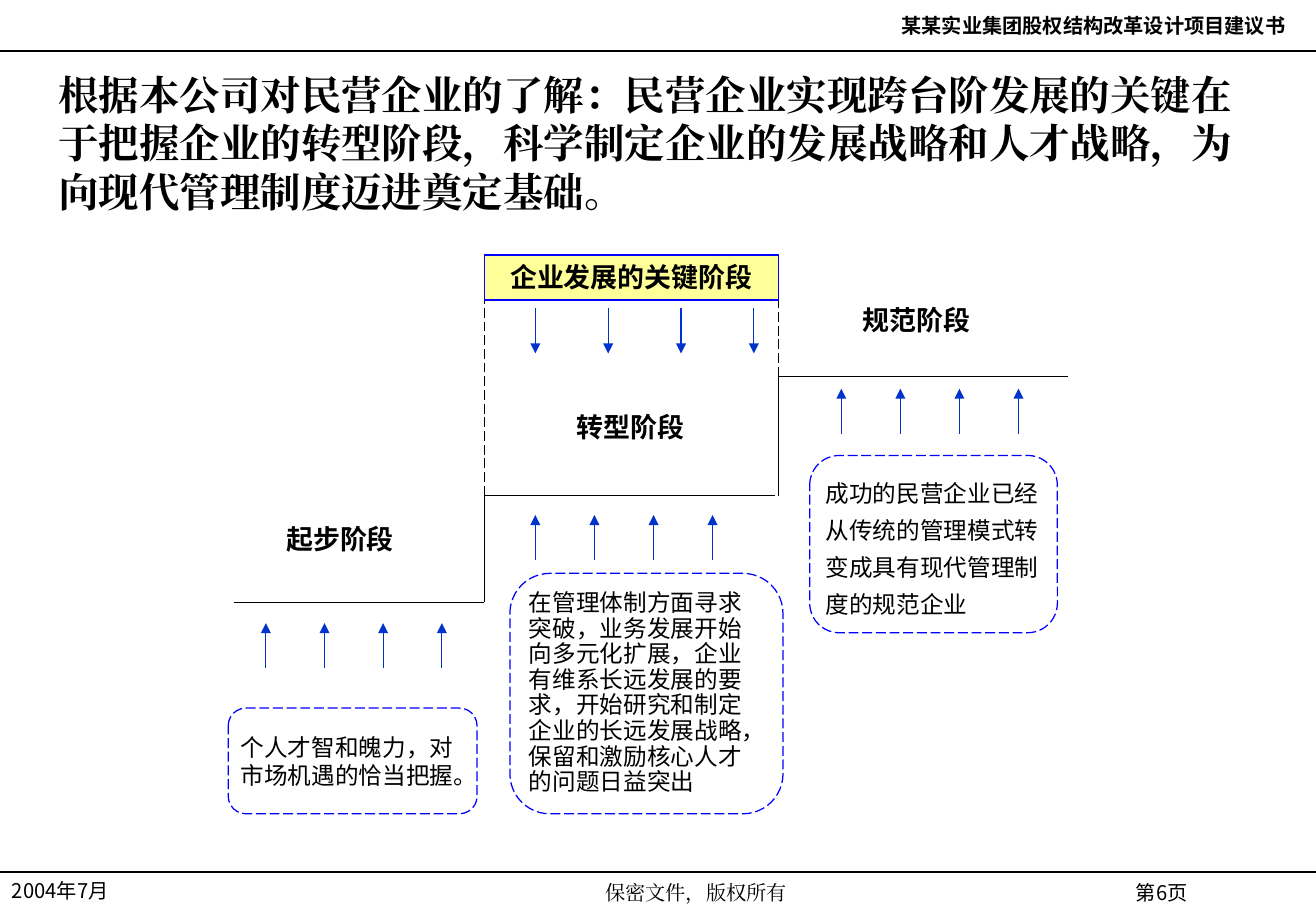
from dataclasses import dataclass

from lxml import etree
from pptx import Presentation
from pptx.dml import color
from pptx.enum import dml, shapes, text
from pptx.oxml import ns
from pptx.util import Inches, Pt

RGB = color.RGBColor.from_string
ALIGN = text.PP_ALIGN
ANCHOR = text.MSO_ANCHOR


@dataclass(frozen=True)
class Theme:
    ink: str = "000000"
    paper: str = "FFFFFF"
    frame: str = "0000FF"
    arrow: str = "0033CC"
    banner: str = "FFFF99"
    sans: str = "Arial"
    serif: str = "Times New Roman"
    hans: str = "Noto Sans CJK SC"
    title: int = 24
    label: int = 16
    body: int = 14
    small: int = 12
    rule: float = 0.75


class Page:
    def __init__(self, slide, theme):
        self.slide = slide
        self.theme = theme

    def letter(self, shape, words, size, font, bold=False, align=ALIGN.LEFT,
               anchor=ANCHOR.TOP, space=None, side=0.1):
        """Set and format the text of a shape."""
        frame = shape.text_frame
        frame.text = words
        frame.word_wrap = True
        frame.auto_size = text.MSO_AUTO_SIZE.NONE
        frame.vertical_anchor = anchor
        frame.margin_left = frame.margin_right = Inches(side)
        frame.margin_top = frame.margin_bottom = Inches(0.05)
        para = frame.paragraphs[0]
        para.alignment = align
        para.space_before = Pt(0)
        if space:
            para.line_spacing = space
        run = para.runs[0]
        run.font.size = Pt(size)
        run.font.bold = bold
        run.font.name = font
        run.font.color.rgb = RGB(self.theme.ink)
        east = etree.SubElement(run.font._element, ns.qn("a:ea"))
        east.set("typeface", font)

    def title(self, box, words):
        shape = self.slide.shapes.title
        shape.left, shape.top, shape.width, shape.height = map(Inches, box)
        self.letter(shape, words, self.theme.title, self.theme.serif, True,
                    anchor=ANCHOR.MIDDLE)

    def text(self, box, words, size, font, **style):
        shape = self.slide.shapes.add_textbox(*map(Inches, box))
        self.letter(shape, words, size, font, **style)

    def label(self, box, words):
        self.text(box, words, self.theme.label, self.theme.sans, bold=True)

    def shape(self, kind, box, fill):
        shape = self.slide.shapes.add_shape(kind, *map(Inches, box))
        shape.shadow.inherit = False
        shape.fill.solid()
        shape.fill.fore_color.rgb = RGB(fill)
        shape.line.color.rgb = RGB(self.theme.frame)
        shape.line.width = Pt(self.theme.rule)
        return shape

    def note(self, box, words, space):
        shape = self.shape(shapes.MSO_SHAPE.ROUNDED_RECTANGLE, box, self.theme.paper)
        shape.line.dash_style = dml.MSO_LINE.LONG_DASH
        self.letter(shape, words, self.theme.body, self.theme.sans,
                    anchor=ANCHOR.MIDDLE, space=space, side=0.06)

    def banner(self, box, words):
        shape = self.shape(shapes.MSO_SHAPE.RECTANGLE, box, self.theme.banner)
        self.letter(shape, words, self.theme.label, self.theme.sans, True, ALIGN.CENTER)

    def line(self, start, end, ink=None, dash=False):
        link = self.slide.shapes.add_connector(
            shapes.MSO_CONNECTOR.STRAIGHT, *map(Inches, (*start, *end)))
        link.line.color.rgb = RGB(ink or self.theme.ink)
        link.line.width = Pt(self.theme.rule)
        if dash:
            link.line.dash_style = dml.MSO_LINE.LONG_DASH
        etree.SubElement(link._element.spPr, ns.qn("a:effectLst"))
        return link

    def arrows(self, first, last, start, end, count=4):
        """Draw a row of evenly spaced vertical arrows."""
        gap = (last - first) / (count - 1)
        for i in range(count):
            x = first + i * gap
            link = self.line((x, start), (x, end), self.theme.arrow)
            stroke = link._element.spPr.find(ns.qn("a:ln"))
            etree.SubElement(stroke, ns.qn("a:tailEnd")).set("type", "triangle")


def main():
    deck = Presentation()
    deck.slide_width, deck.slide_height = Inches(10.84), Inches(7.5)
    theme = Theme()
    page = Page(deck.slides.add_slide(deck.slide_layouts[5]), theme)

    # Header and footer
    for y in (0.42, 7.18):
        page.line((0, y), (10.84, y))
    for box, words, font, bold, align in (
        ((6.9, 0.06, 3.79, 0.3), "某某实业集团股权结构改革设计项目建议书",
         theme.hans, True, ALIGN.RIGHT),
        ((0, 7.18, 1.81, 0.3), "2004年7月", theme.hans, False, ALIGN.LEFT),
        ((2.8, 7.2, 5.87, 0.3), "保密文件，版权所有", theme.serif, False, ALIGN.CENTER),
        ((8.76, 7.2, 1.62, 0.34), "第6页", theme.hans, False, ALIGN.CENTER),
    ):
        page.text(box, words, theme.small, font, bold=bold, align=align)

    page.title((0.38, 0.57, 10, 1.21),
               "根据本公司对民营企业的了解：民营企业实现跨台阶发展的关键在于把握企业的"
               "转型阶段，科学制定企业的发展战略和人才战略，为向现代管理制度迈进奠定基础。")

    # Staircase
    left, right = 3.99, 6.41
    low, mid, high, top = 4.96, 4.08, 3.1, 2.1
    for start, end in (
        ((1.93, low), (left, low)),
        ((left, low), (left, mid)),
        ((left, mid), (6.38, mid)),
        ((right, mid), (right, high)),
        ((right, high), (8.8, high)),
    ):
        page.line(start, end)

    # Stages
    for box, words, space in (
        ((1.88, 5.83, 2.05, 0.87), "个人才智和魄力，对市场机遇的恰当把握。", None),
        ((4.2, 4.72, 2.25, 1.98),
         "在管理体制方面寻求突破，业务发展开始向多元化扩展，企业有维系长远发展的要求，"
         "开始研究和制定企业的长远发展战略，保留和激励核心人才的问题日益突出", 0.9),
        ((6.67, 3.75, 2.04, 1.46),
         "成功的民营企业已经从传统的管理模式转变成具有现代管理制度的规范企业", 1.3),
    ):
        page.note(box, words, space)
    page.label((2.26, 4.25, 1.28, 0.37), "起步阶段")
    page.label((4.65, 3.33, 1.24, 0.37), "转型阶段")
    page.label((7.01, 2.45, 1.16, 0.37), "规范阶段")

    # Key stage
    for x, foot in ((left, mid), (right, high)):
        page.line((x, foot), (x, top), dash=True)
    page.banner((left, top, right - left, 0.37), "企业发展的关键阶段")

    for first, last, start, end in (
        (2.19, 3.64, 5.5, 5.13),
        (4.41, 6.21, 2.54, 2.91),
        (4.41, 5.87, 4.61, 4.24),
        (6.93, 8.39, 3.57, 3.2),
    ):
        page.arrows(first, last, start, end)

    deck.save("out.pptx")


if __name__ == "__main__":
    main()
